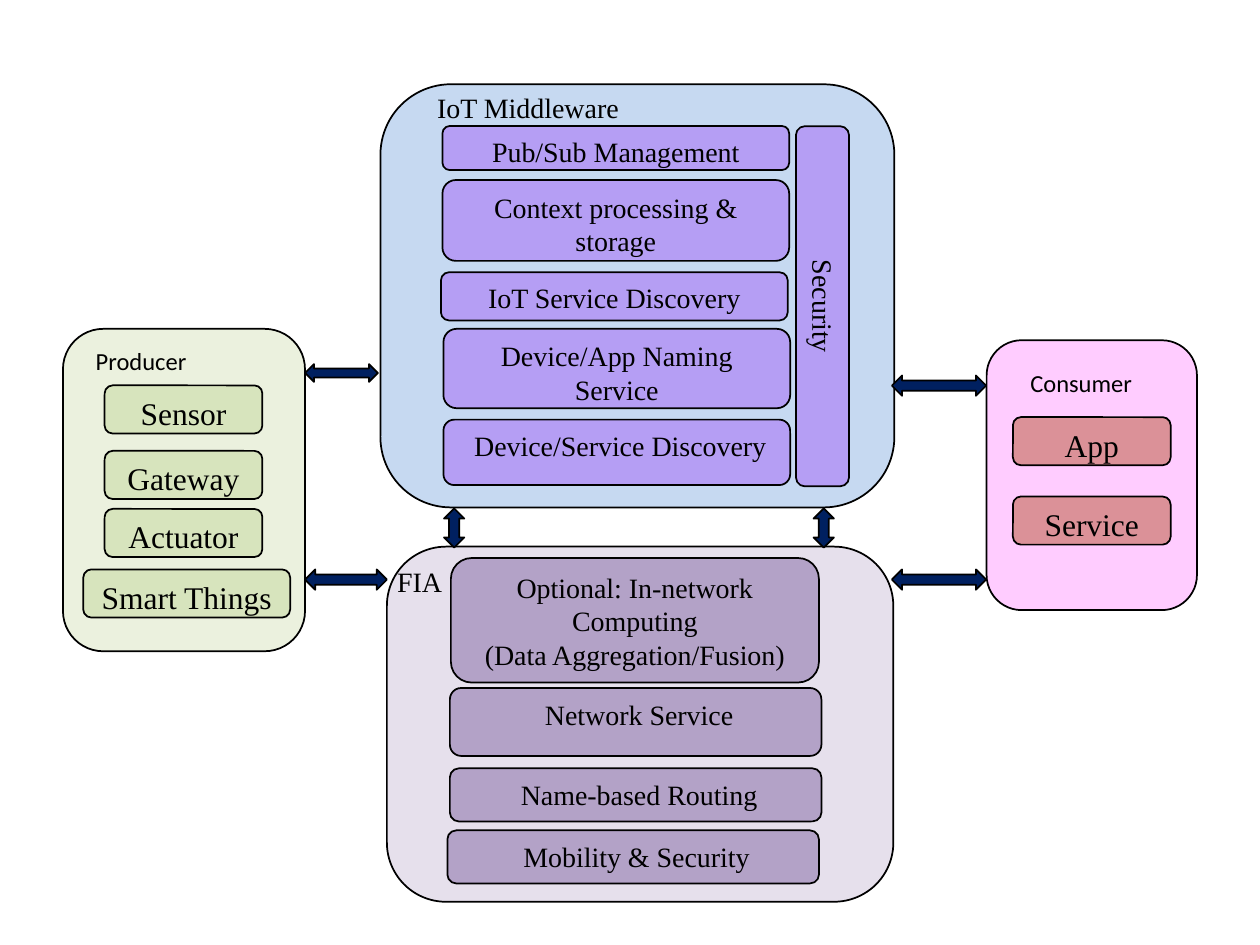
from pptx import Presentation
from pptx.dml.color import RGBColor as Rgb
from pptx.enum.shapes import MSO_SHAPE as Form
from pptx.enum.text import MSO_ANCHOR as Anchor, PP_ALIGN as Align
from pptx.util import Cm, Pt

HUES = {
    "black": "000000", "navy": "002060",
    "blue": "C6D9F1", "violet": "B59EF4",
    "lilac": "E6E0EC", "mauve": "B3A2C7",
    "cream": "EBF1DE", "green": "D7E4BD",
    "pink": "FFCCFF", "rose": "DB9198",
}
SERIF, SANS = "Times New Roman", "Calibri"


def hue(name):
    return Rgb.from_string(HUES[name])


def write(shape, text, size, font=SERIF, align=Align.CENTER):
    frame = shape.text_frame
    frame.word_wrap = True
    frame.vertical_anchor = Anchor.TOP
    frame.text = text
    for para in frame.paragraphs:
        para.alignment = align
        for run in para.runs:
            run.font.name = font
            run.font.size = Pt(size)
            run.font.color.rgb = hue("black")


def add_form(slide, form, area, fill, turn=0):
    shape = slide.shapes.add_shape(form, *map(Cm, area))
    shape.shadow.inherit = False
    shape.fill.solid()
    shape.fill.fore_color.rgb = hue(fill)
    shape.line.color.rgb = hue("black")
    shape.line.width = Pt(1)
    shape.rotation = turn
    return shape


def add_panel(slide, area, fill):
    add_form(slide, Form.ROUNDED_RECTANGLE, area, fill)


def add_box(slide, area, fill, text, size=16, turn=0):
    box = add_form(slide, Form.ROUNDED_RECTANGLE, area, fill, turn)
    write(box, text, size)


def add_stack(slide, width, fill, rows, size=16):
    """Boxes of one width; each row is left, top, height, text."""
    for left, top, height, text in rows:
        add_box(slide, (left, top, width, height), fill, text, size)


def add_label(slide, area, text, size=16, font=SERIF, align=Align.CENTER):
    write(slide.shapes.add_textbox(*map(Cm, area)), text, size, font, align)


def add_arrow(slide, area, turn=0):
    add_form(slide, Form.LEFT_RIGHT_ARROW, area, "navy", turn)


def draw_fia(slide):
    add_panel(slide, (7.8, 11.02, 10.21, 7.16), "lilac")
    add_label(slide, (7.19, 11.25, 2.54, 0.94), "FIA")
    add_box(slide, (9.09, 11.25, 7.42, 2.51), "mauve",
            "Optional: In-network Computing\n(Data Aggregation/Fusion)")
    add_stack(slide, 7.49, "mauve", [
        (9.07, 13.87, 1.37, " Network Service"),
        (9.07, 15.49, 1.07, " Name-based Routing"),
        (9.02, 16.74, 1.07, " Mobility & Security"),
    ])


def draw_middle(slide):
    add_panel(slide, (7.67, 1.7, 10.36, 8.53), "blue")
    add_label(slide, (7.8, 1.7, 5.69, 0.94), "IoT Middleware")
    add_stack(slide, 6.99, "violet", [
        (8.92, 2.54, 0.89, "Pub/Sub Management"),
        (8.92, 3.63, 1.63, "Context processing & storage"),
        (8.89, 5.49, 0.97, "IoT Service Discovery"),
        (8.94, 6.63, 1.6, "Device/App Naming Service"),
        (8.94, 8.46, 1.32, " Device/Service Discovery"),
    ])
    add_box(slide, (12.95, 5.64, 7.26, 1.07), "violet", "Security", turn=90)


def draw_maker(slide):
    add_panel(slide, (1.27, 6.63, 4.88, 6.5), "cream")
    add_label(slide, (1.68, 6.86, 3.38, 0.86), "Producer", 14, SANS, Align.LEFT)
    add_stack(slide, 3.18, "green", [
        (2.11, 7.77, 0.97, "Sensor"),
        (2.11, 9.09, 0.97, "Gateway"),
        (2.11, 10.26, 0.97, "Actuator"),
    ], 18)
    add_box(slide, (1.68, 11.48, 4.17, 0.97), "green", "Smart Things", 18)


def draw_user(slide):
    add_panel(slide, (19.89, 6.86, 4.24, 5.44), "pink")
    add_label(slide, (20.52, 7.29, 2.97, 0.86), "Consumer", 14, SANS, Align.LEFT)
    add_stack(slide, 3.18, "rose", [
        (20.42, 8.41, 0.97, "App"),
        (20.42, 10.01, 0.97, "Service"),
    ], 18)


def draw_links(slide):
    add_arrow(slide, (6.15, 7.34, 1.47, 0.36))
    add_arrow(slide, (6.15, 11.48, 1.65, 0.41))
    for top in (7.57, 11.48):
        add_arrow(slide, (17.98, top, 1.9, 0.41))
    for left in (8.76, 16.21):
        add_arrow(slide, (left, 10.44, 0.79, 0.41), 90)


def main():
    deck = Presentation()
    deck.slide_width, deck.slide_height = Cm(25.4), Cm(19.05)
    slide = deck.slides.add_slide(deck.slide_layouts[6])
    for draw in (draw_fia, draw_middle, draw_maker, draw_user, draw_links):
        draw(slide)
    deck.save("out.pptx")


if __name__ == "__main__":
    main()
